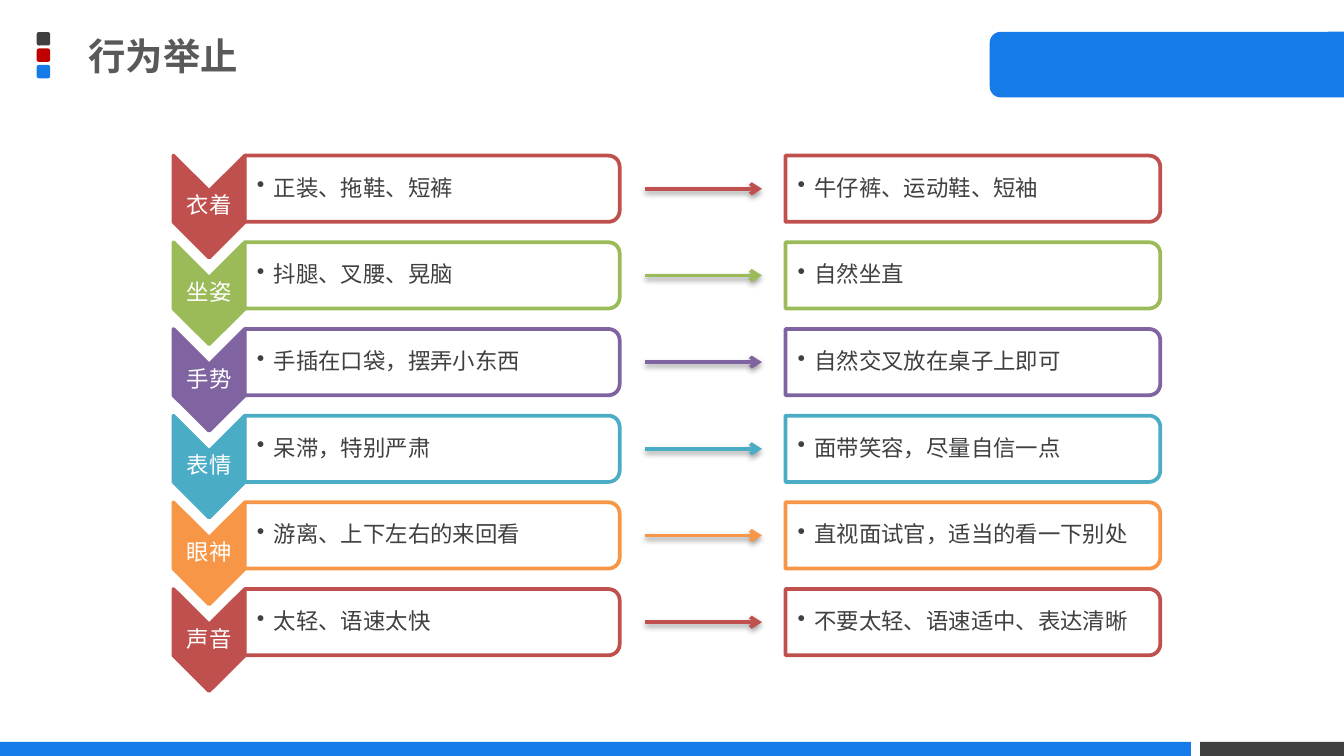
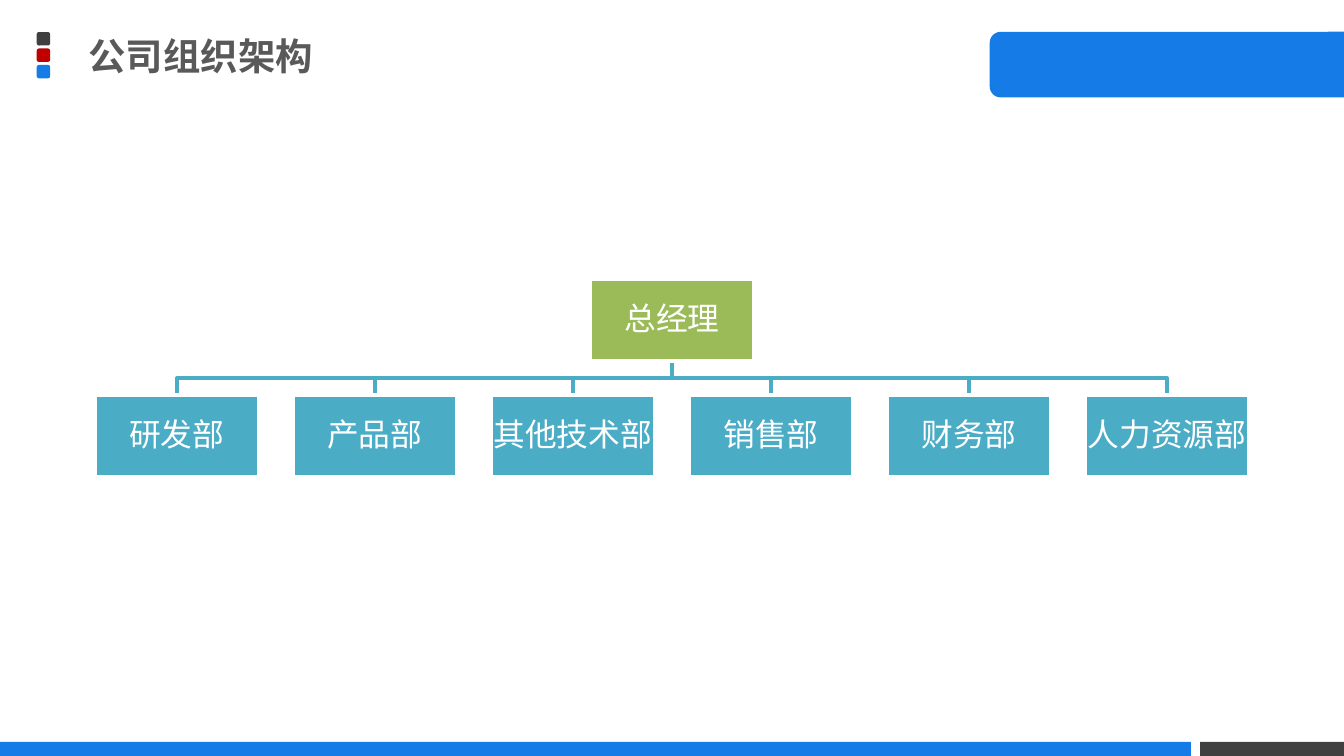
import math
from typing import NamedTuple

from lxml import etree
from pptx import Presentation
from pptx.dml.color import RGBColor
from pptx.enum import shapes as kinds, text
from pptx.oxml.ns import qn
from pptx.util import Pt

WHITE, CHARCOAL, TITLE_GREY = "FFFFFF", "404040", "595959"
BLUE, CRIMSON = "157CE7", "C00000"
RED, GREEN, PURPLE, TEAL, ORANGE = "C0504D", "9BBB59", "8064A2", "4BACC6", "F79646"
LINE_WIDTH = 2
Point = tuple[float, float]


class TextStyle(NamedTuple):
    size: float
    color: str
    font: str = "Calibri"
    bold: bool = False
    align: text.PP_ALIGN = text.PP_ALIGN.LEFT
    insets: tuple[float, float, float, float] = (1, 1, 1, 1)
    bullet_indent: float = 0


class FramePart(NamedTuple):
    kind: kinds.MSO_SHAPE
    left: float
    top: float
    width: float
    height: float
    color: str
    rotation: int = 0


class Habit(NamedTuple):
    topic: str
    wrong: str
    right: str
    color: str


TITLE = TextStyle(20, TITLE_GREY, "Arial", True, insets=(5, 3, 5, 3))
TOPIC = TextStyle(12, WHITE, align=text.PP_ALIGN.CENTER, insets=(1, 19, 1, 19))
ADVICE = TextStyle(12, CHARCOAL, insets=(6.5, 2, 2, 2), bullet_indent=9)
ORG_UNIT = TextStyle(17, WHITE, align=text.PP_ALIGN.CENTER)

FRAME = [
    FramePart(kinds.MSO_SHAPE.ROUND_2_SAME_RECTANGLE, 607.6, -60.4, 35.2, 190, BLUE, 270),
    *(FramePart(kinds.MSO_SHAPE.ROUNDED_RECTANGLE, 19.7, 17.2 + 8.8 * i, 7.2, 7.2, color)
      for i, color in enumerate((CHARCOAL, CRIMSON, BLUE))),
    FramePart(kinds.MSO_SHAPE.RECTANGLE, 643, 397.5, 77, 7.5, CHARCOAL),
    FramePart(kinds.MSO_SHAPE.RECTANGLE, 0, 397.5, 638, 7.5, BLUE),
]

HABITS = [
    Habit("衣着", "正装、拖鞋、短裤", "牛仔裤、运动鞋、短袖", RED),
    Habit("坐姿", "抖腿、叉腰、晃脑", "自然坐直", GREEN),
    Habit("手势", "手插在口袋，摆弄小东西", "自然交叉放在桌子上即可", PURPLE),
    Habit("表情", "呆滞，特别严肃", "面带笑容，尽量自信一点", TEAL),
    Habit("眼神", "游离、上下左右的来回看", "直视面试官，适当的看一下别处", ORANGE),
    Habit("声音", "太轻、语速太快", "不要太轻、语速适中、表达清晰", RED),
]
FIRST_ROW, ROW_PITCH, ROW_HEIGHT = 83.4, 46.44, 35.5
CHEVRON_LEFT, CHEVRON_WIDTH, CHEVRON_DEPTH = 92.9, 38.3, 19.1
WRONG_LEFT, RIGHT_LEFT, ADVICE_WIDTH = 131.2, 420.8, 200.8
ARROW_START, ARROW_END = 345.8, 408.2

DEPARTMENTS = ["研发部", "产品部", "其他技术部", "销售部", "财务部", "人力资源部"]
SLIDE_CENTER = 360
UNIT_WIDTH, UNIT_HEIGHT, UNIT_PITCH = 87.6, 43.8, 106.08
MANAGER_TOP, DEPARTMENT_TOP = 149.6, 211.8


def rgb(color: str) -> RGBColor:
    return RGBColor.from_string(color)


def paint(shape, fill: str | None, line: str | None = None) -> None:
    shape.shadow.inherit = False
    if fill:
        shape.fill.solid()
        shape.fill.fore_color.rgb = rgb(fill)
    else:
        shape.fill.background()
    if line:
        shape.line.color.rgb = rgb(line)
        shape.line.width = Pt(LINE_WIDTH)
    else:
        shape.line.fill.background()


def write(shape, words: str, style: TextStyle) -> None:
    frame = shape.text_frame
    frame.word_wrap = True
    frame.vertical_anchor = text.MSO_ANCHOR.MIDDLE
    (frame.margin_left, frame.margin_top,
     frame.margin_right, frame.margin_bottom) = map(Pt, style.insets)
    paragraph = frame.paragraphs[0]
    paragraph.text = words
    paragraph.alignment = style.align
    paragraph.line_spacing = 0.9
    if style.bullet_indent:
        properties = paragraph._p.get_or_add_pPr()
        properties.set("marL", str(Pt(style.bullet_indent)))
        properties.set("indent", str(-Pt(style.bullet_indent)))
        etree.SubElement(properties, qn("a:buChar"), char="•")
    font = paragraph.font
    font.name, font.size, font.bold = style.font, Pt(style.size), style.bold
    font.color.rgb = rgb(style.color)


def add_outline(slide, points: list[Point], close: bool = True):
    start, *rest = [(Pt(x), Pt(y)) for x, y in points]
    builder = slide.shapes.build_freeform(*start)
    builder.add_line_segments(rest, close=close)
    return builder.convert_to_shape()


def add_framed_slide(deck, title: str, title_width: float):
    slide = deck.slides.add_slide(deck.slide_layouts[6])
    for part in FRAME:
        shape = slide.shapes.add_shape(
            part.kind, Pt(part.left), Pt(part.top), Pt(part.width), Pt(part.height))
        shape.rotation = part.rotation
        paint(shape, part.color)
    heading = slide.shapes.add_textbox(Pt(42.5), Pt(13.7), Pt(title_width), Pt(35.3))
    write(heading, title, TITLE)
    return slide


def add_chevron(slide, top: float, habit: Habit) -> None:
    left, right = CHEVRON_LEFT, CHEVRON_LEFT + CHEVRON_WIDTH
    middle, shoulder = (left + right) / 2, top + ROW_HEIGHT
    chevron = add_outline(slide, [
        (right, top), (right, shoulder), (middle, shoulder + CHEVRON_DEPTH),
        (left, shoulder), (left, top), (middle, top + CHEVRON_DEPTH)])
    paint(chevron, habit.color, habit.color)
    write(chevron, habit.topic, TOPIC)


def add_advice(slide, left: float, top: float, words: str, color: str) -> None:
    """Draw a bulleted box whose two right corners are rounded."""
    radius, steps = 6, 8
    right, bottom = left + ADVICE_WIDTH, top + ROW_HEIGHT

    def corner(center_y: float, start_degrees: int) -> list[Point]:
        angles = [math.radians(start_degrees + 90 * i / steps) for i in range(steps + 1)]
        return [(right - radius + radius * math.cos(a), center_y + radius * math.sin(a))
                for a in angles]

    box = add_outline(slide, [(left, top), *corner(top + radius, -90),
                              *corner(bottom - radius, 0), (left, bottom)])
    paint(box, WHITE, color)
    fill_color = box.element.spPr.find(qn("a:solidFill"))[0]
    etree.SubElement(fill_color, qn("a:alpha"), val="90000")
    write(box, words, ADVICE)


def add_arrow(slide, y: float, color: str) -> None:
    arrow = slide.shapes.add_connector(
        kinds.MSO_CONNECTOR.STRAIGHT, Pt(ARROW_START), Pt(y), Pt(ARROW_END), Pt(y))
    arrow.line.color.rgb = rgb(color)
    arrow.line.width = Pt(LINE_WIDTH)
    properties = arrow.element.spPr
    etree.SubElement(properties.find(qn("a:ln")), qn("a:tailEnd"), type="arrow")
    effects = etree.SubElement(properties, qn("a:effectLst"))
    shadow = etree.SubElement(
        effects, qn("a:outerShdw"), blurRad=str(Pt(3.1)), dist=str(Pt(1.6)),
        dir="5400000", rotWithShape="0")
    shade = etree.SubElement(shadow, qn("a:srgbClr"), val="000000")
    etree.SubElement(shade, qn("a:alpha"), val="38000")


def add_unit(slide, center: float, top: float, name: str, color: str) -> None:
    unit = slide.shapes.add_shape(
        kinds.MSO_SHAPE.RECTANGLE, Pt(center - UNIT_WIDTH / 2), Pt(top),
        Pt(UNIT_WIDTH), Pt(UNIT_HEIGHT))
    paint(unit, color, WHITE)
    write(unit, name, ORG_UNIT)


def build_behaviour(deck) -> None:
    slide = add_framed_slide(deck, "行为举止", 147.6)
    for row, habit in enumerate(HABITS):
        top = FIRST_ROW + row * ROW_PITCH
        add_chevron(slide, top, habit)
        add_advice(slide, WRONG_LEFT, top, habit.wrong, habit.color)
        add_advice(slide, RIGHT_LEFT, top, habit.right, habit.color)
        add_arrow(slide, top + ROW_HEIGHT / 2, habit.color)


def build_organisation(deck) -> None:
    slide = add_framed_slide(deck, "公司组织架构", 254.9)
    first = SLIDE_CENTER - UNIT_PITCH * (len(DEPARTMENTS) - 1) / 2
    centers = [first + i * UNIT_PITCH for i in range(len(DEPARTMENTS))]
    manager_bottom = MANAGER_TOP + UNIT_HEIGHT
    bus = (manager_bottom + DEPARTMENT_TOP) / 2
    for center in centers:
        branch = add_outline(slide, [
            (SLIDE_CENTER, manager_bottom), (SLIDE_CENTER, bus),
            (center, bus), (center, DEPARTMENT_TOP)], close=False)
        paint(branch, None, TEAL)
    add_unit(slide, SLIDE_CENTER, MANAGER_TOP, "总经理", GREEN)
    for center, name in zip(centers, DEPARTMENTS):
        add_unit(slide, center, DEPARTMENT_TOP, name, TEAL)


def main() -> None:
    deck = Presentation()
    deck.slide_width, deck.slide_height = Pt(720), Pt(405)
    build_behaviour(deck)
    build_organisation(deck)
    deck.save("out.pptx")


if __name__ == "__main__":
    main()
